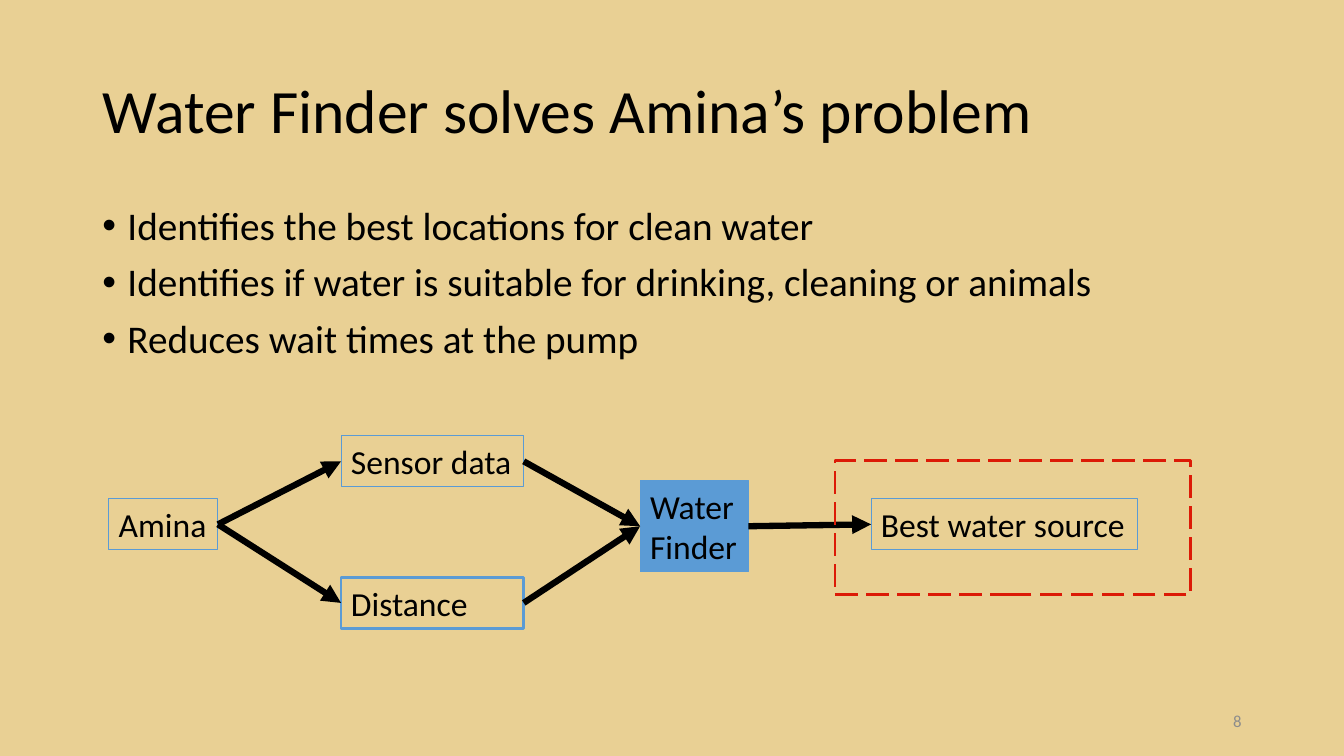
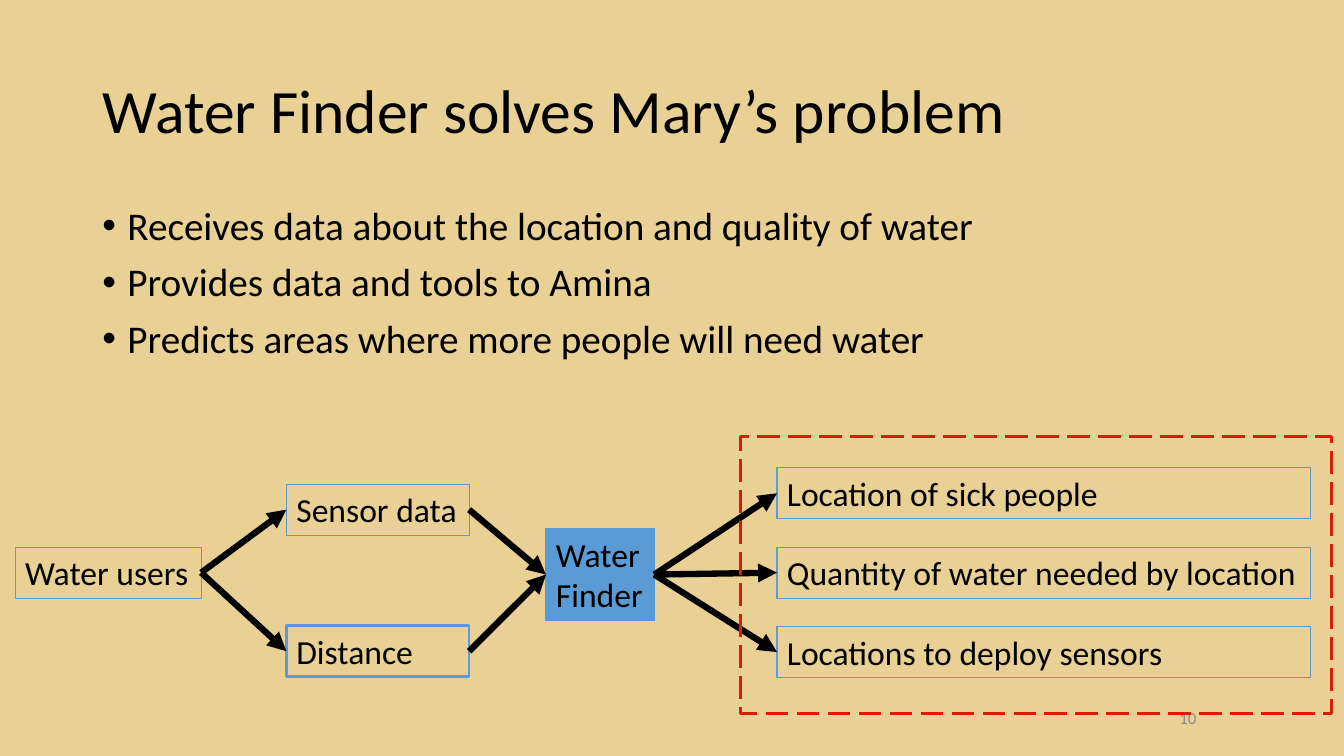
from dataclasses import dataclass

from lxml.etree import SubElement
from pptx import Presentation
from pptx.dml.color import RGBColor
from pptx.enum.dml import MSO_LINE_DASH_STYLE as Dash
from pptx.enum.shapes import MSO_CONNECTOR as Connector, MSO_SHAPE as Shape
from pptx.enum.text import MSO_ANCHOR as Anchor, MSO_AUTO_SIZE as AutoSize, PP_ALIGN as Align
from pptx.oxml.ns import qn
from pptx.util import Emu, Inches, Pt

# Shared look
SAND = RGBColor(0xE9, 0xD0, 0x94)
BLUE = RGBColor(0x5B, 0x9B, 0xD5)
RED = RGBColor(0xDC, 0x1A, 0x06)
GREY = RGBColor(0x8C, 0x8C, 0x8C)
BLACK = RGBColor(0, 0, 0)
FONT = "Calibri"

# Grid of 32 columns by 18 rows, with square cells
WIDTH, HEIGHT = Inches(13.333), Inches(7.5)
CELL = HEIGHT / 18

# Flow diagram measures, in cells
BOX_HEIGHT = 1.21
HUB_WIDTH, HUB_HEIGHT = 2.58, 2.18
INPUT_WIDTH = 4.35
INPUT_ROWS = (("Sensor data", -1.06, 0.75), ("Distance", 2.31, 2))
MIDDLE_ROW = 0.44
OUTPUT_PITCH = 1.89
OUTPUT_SHIFT = 5.5
FRAME_MARGIN = 0.86


@dataclass(frozen=True)
class Area:
    """A rectangle in grid columns and rows."""
    col: float
    row: float
    cols: float
    rows: float

    def emu(self) -> list[Emu]:
        return [Emu(round(n * CELL)) for n in (self.col, self.row, self.cols, self.rows)]


@dataclass(frozen=True)
class Flow:
    source: str
    source_col: float
    source_cols: float
    input_col: float
    hub_col: float
    hub_row: float
    outputs: tuple[str, ...]
    output_cols: float
    frame_row: float
    frame_cols: float
    frame_rows: float


@dataclass(frozen=True)
class Story:
    title: str
    benefits: tuple[str, ...]
    number: str
    number_col: float
    number_row: float
    flow: Flow


TITLE_AREA = Area(2.2, 0.96, 27.6, 3.48)
BENEFITS_AREA = Area(2.2, 4.8, 27.6, 11.42)

STORIES = (
    Story(
        "Water Finder solves Amina’s problem",
        ("Identifies the best locations for clean water",
         "Identifies if water is suitable for drinking, cleaning or animals",
         "Reduces wait times at the pump"),
        "8", 22.6, 16.68,
        Flow("Amina", 2.59, 2.6, 8.12, 15.24, 11.44,
             ("Best water source",), 6.34, 10.97, 8.47, 3.19),
    ),
    Story(
        "Water Finder solves Mary’s problem",
        ("Receives data about the location and quality of water",
         "Provides data and tools to Amina",
         "Predicts areas where more people will need water"),
        "10", 21.52, 16.6,
        Flow("Water users", 0.36, 4.43, 6.82, 13, 12.59,
             ("Location of sick people",
              "Quantity of water needed by location",
              "Locations to deploy sensors"), 12.71, 10.39, 14.06, 6.6),
    ),
)


def style(paragraph, size: float, color: RGBColor = BLACK) -> None:
    paragraph.font.name = FONT
    paragraph.font.size = Pt(size)
    paragraph.font.color.rgb = color


def add_title(slide, text: str) -> None:
    title = slide.shapes.title
    title.left, title.top, title.width, title.height = TITLE_AREA.emu()
    frame = title.text_frame
    frame.text = text
    frame.auto_size = AutoSize.NONE
    frame.vertical_anchor = Anchor.MIDDLE
    heading = frame.paragraphs[0]
    heading.alignment = Align.LEFT
    heading.line_spacing = 0.9
    style(heading, 44)


def add_benefits(slide, benefits: tuple[str, ...]) -> None:
    frame = slide.shapes.add_textbox(*BENEFITS_AREA.emu()).text_frame
    frame.word_wrap = True
    frame.text = "\n".join(benefits)
    for index, benefit in enumerate(frame.paragraphs):
        benefit.line_spacing = 0.9
        benefit.space_before = Pt(10 if index else 0)
        properties = benefit._p.get_or_add_pPr()
        properties.set("marL", str(Inches(0.25)))
        properties.set("indent", str(Inches(-0.25)))
        SubElement(properties, qn("a:buFont"), typeface="Arial")
        SubElement(properties, qn("a:buChar"), char="•")
        style(benefit, 28)


def add_number(slide, story: Story) -> None:
    area = Area(story.number_col, story.number_row, 7.2, 0.96)
    frame = slide.shapes.add_textbox(*area.emu()).text_frame
    frame.word_wrap = True
    frame.vertical_anchor = Anchor.MIDDLE
    frame.text = story.number
    frame.paragraphs[0].alignment = Align.RIGHT
    style(frame.paragraphs[0], 12, GREY)


def add_box(slide, text: str, area: Area, border: float = 0.75, filled: bool = False):
    box = slide.shapes.add_textbox(*area.emu())
    box.line.color.rgb = BLUE
    box.line.width = Pt(border)
    if filled:
        box.fill.solid()
        box.fill.fore_color.rgb = BLUE
    frame = box.text_frame
    frame.word_wrap = True
    frame.margin_right = 0
    frame.text = text
    for line in frame.paragraphs:
        style(line, 24)
    return box


def add_arrow(slide, start, end) -> None:
    """Join the right side of one box to the left side of another."""
    arrow = slide.shapes.add_connector(Connector.STRAIGHT, 0, 0, 0, 0)
    arrow.begin_connect(start, 3)
    arrow.end_connect(end, 1)
    arrow.line.color.rgb = BLACK
    arrow.line.width = Pt(4.5)
    SubElement(arrow.line._get_or_add_ln(), qn("a:tailEnd"), type="triangle")
    SubElement(arrow._element.spPr, qn("a:effectLst"))


def add_frame(slide, area: Area) -> None:
    outline = slide.shapes.add_shape(Shape.RECTANGLE, *area.emu())
    outline.shadow.inherit = False
    outline.fill.background()
    outline.line.color.rgb = RED
    outline.line.width = Pt(2)
    outline.line.dash_style = Dash.LONG_DASH


def add_flow(slide, flow: Flow) -> None:
    middle = flow.hub_row + MIDDLE_ROW
    output_col = flow.hub_col + OUTPUT_SHIFT
    hub = add_box(slide, "Water\nFinder",
                  Area(flow.hub_col, flow.hub_row, HUB_WIDTH, HUB_HEIGHT), filled=True)
    source = add_box(slide, flow.source,
                     Area(flow.source_col, middle, flow.source_cols, BOX_HEIGHT))

    # Inputs between the source and the hub
    for text, shift, border in INPUT_ROWS:
        area = Area(flow.input_col, flow.hub_row + shift, INPUT_WIDTH, BOX_HEIGHT)
        data = add_box(slide, text, area, border)
        add_arrow(slide, source, data)
        add_arrow(slide, data, hub)

    # Outputs, centred on the middle row
    first = middle - OUTPUT_PITCH * (len(flow.outputs) - 1) / 2
    for index, text in enumerate(flow.outputs):
        area = Area(output_col, first + index * OUTPUT_PITCH, flow.output_cols, BOX_HEIGHT)
        add_arrow(slide, hub, add_box(slide, text, area))

    add_frame(slide, Area(output_col - FRAME_MARGIN, flow.frame_row,
                          flow.frame_cols, flow.frame_rows))


def main() -> None:
    deck = Presentation()
    deck.slide_width, deck.slide_height = WIDTH, HEIGHT
    backdrop = deck.slide_master.background.fill
    backdrop.solid()
    backdrop.fore_color.rgb = SAND
    title_only = deck.slide_layouts[5]
    for story in STORIES:
        slide = deck.slides.add_slide(title_only)
        add_title(slide, story.title)
        add_benefits(slide, story.benefits)
        add_number(slide, story)
        add_flow(slide, story.flow)
    deck.save("out.pptx")


if __name__ == "__main__":
    main()
